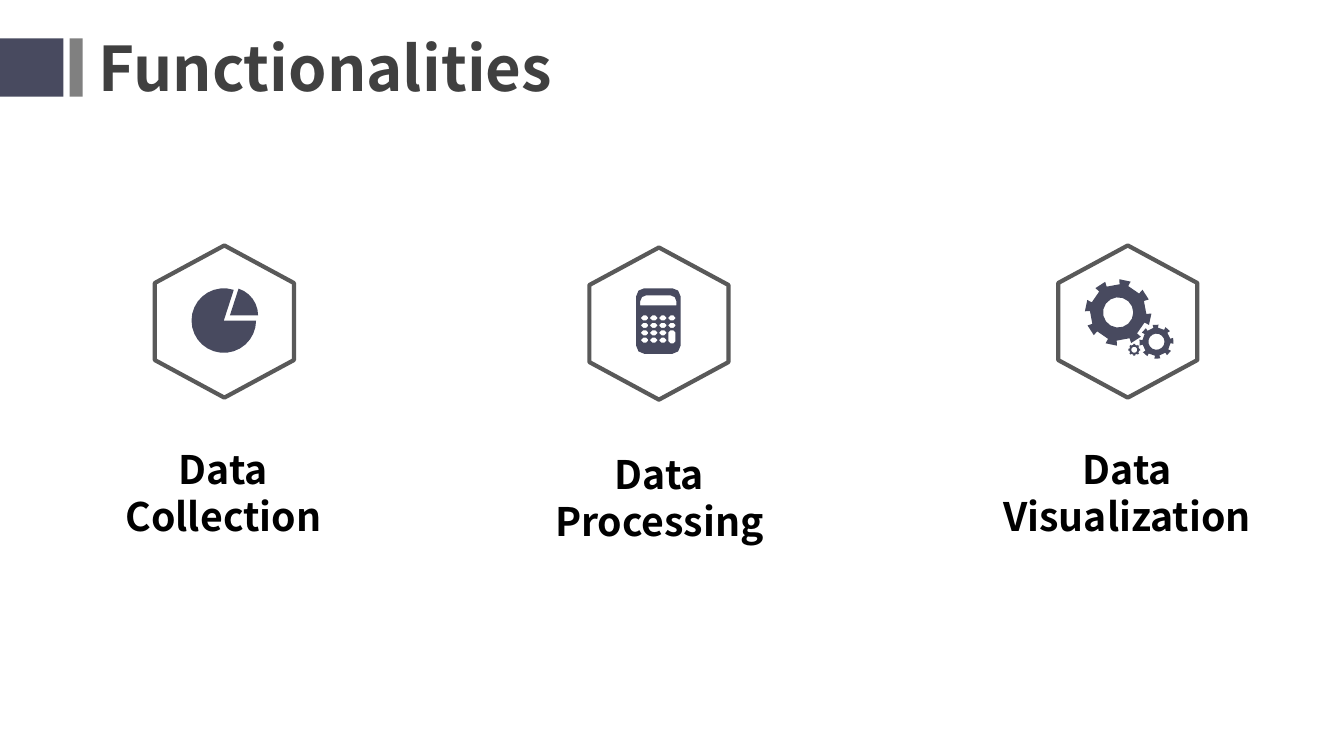
from dataclasses import dataclass
from math import cos, radians, sin
from typing import Callable

from pptx import Presentation
from pptx.dml.color import RGBColor
from pptx.enum.shapes import MSO_SHAPE
from pptx.enum.text import MSO_AUTO_SIZE, PP_ALIGN
from pptx.shapes.shapetree import GroupShapes
from pptx.slide import Slide
from pptx.util import Pt

RECTANGLE, HEXAGON = MSO_SHAPE.RECTANGLE, MSO_SHAPE.HEXAGON
LEFT, CENTER = PP_ALIGN.LEFT, PP_ALIGN.CENTER
GROW = MSO_AUTO_SIZE.SHAPE_TO_FIT_TEXT

EMU_PER_PX = 9144  # 100 px to the inch
SLIDE_WIDTH, SLIDE_HEIGHT = 1333, 750
HEXAGON_WIDTH, HEXAGON_HEIGHT = 151, 138
TEETH = 8

SLATE = RGBColor(0x48, 0x4A, 0x5F)
GRAY = RGBColor(0x80, 0x80, 0x80)
OUTLINE = RGBColor(0x59, 0x59, 0x59)
TITLE_COLOR = RGBColor(0x40, 0x40, 0x40)
BLACK = RGBColor(0, 0, 0)
FONT = "Noto Sans CJK SC"

Contour = list[tuple[float, float]]
Outline = list[Contour]


@dataclass(frozen=True)
class Box:
    left: int
    top: int
    width: int
    height: int


@dataclass(frozen=True)
class Gear:
    x: int
    y: int
    tip: int
    root: int
    hole: int
    turn: int


@dataclass(frozen=True)
class Feature:
    label: str
    label_box: Box
    left: int
    top: int
    icon: Callable[[], list[Outline]]


GEARS = [
    Gear(66, 60, tip=33, root=28, hole=15, turn=12),
    Gear(104, 89, tip=17, root=14, hole=8, turn=-3),
    Gear(82, 97, tip=6, root=5, hole=3, turn=0),
]


def px(value: float) -> int:
    return round(value * EMU_PER_PX)


def arc(x: float, y: float, radius: float, start: int, end: int, step: int) -> Contour:
    """Points of an arc, clockwise, with angles in degrees."""
    return [
        (x + radius * cos(radians(angle)), y + radius * sin(radians(angle)))
        for angle in range(start, end + 1, step)
    ]


def rounded(left: float, top: float, width: float, height: float,
            radius: float, step: int) -> Contour:
    right, bottom = left + width, top + height
    return (
        arc(left + radius, top + radius, radius, 180, 270, step)
        + arc(right - radius, top + radius, radius, 270, 360, step)
        + arc(right - radius, bottom - radius, radius, 0, 90, step)
        + arc(left + radius, bottom - radius, radius, 90, 180, step)
    )


def pie_icon() -> list[Outline]:
    wedge = arc(81, 63, 28, -72, 0, 12) + [(81, 63)]
    rest = arc(75, 68, 32, 0, 288, 12) + [(75, 68)]
    return [[wedge], [rest]]


def calculator_icon() -> list[Outline]:
    body = rounded(53, 34, 44, 65, 8, 45)
    screen = arc(63, 47, 6, 180, 270, 45) + arc(87, 47, 6, 270, 360, 45) + [(93, 51), (57, 51)]
    keys = []
    for column in range(4):
        for row in range(4):
            if (column, row) == (3, 3):
                continue
            height = 13 if (column, row) == (3, 2) else 5
            keys.append(rounded(58 + 9 * column, 61 + 22 / 3 * row, 7, height, 2, 90))
    return [[body, screen, *keys]]


def gear_icon() -> list[Outline]:
    outlines = []
    for gear in GEARS:
        rim = []
        for tooth in range(TEETH):
            middle = gear.turn + tooth * 360 // TEETH
            rim += arc(gear.x, gear.y, gear.tip, middle - 10, middle + 10, 20)
            rim += arc(gear.x, gear.y, gear.root, middle + 9, middle + 36, 27)
        outlines.append([rim, arc(gear.x, gear.y, gear.hole, 0, 336, 24)])
    return outlines


def add_outline(shapes: GroupShapes, outline: Outline, left: int, top: int) -> None:
    """Draw the first contour filled, with the others as its holes."""
    contours = [[(px(left + x), px(top + y)) for x, y in contour] for contour in outline]
    builder = shapes.build_freeform(*contours[0][0])
    builder.add_line_segments(contours[0][1:])
    for hole in contours[1:]:
        builder.move_to(*hole[0])
        builder.add_line_segments(hole[1:])
    shape = builder.convert_to_shape()
    shape.shadow.inherit = False
    shape.fill.solid()
    shape.fill.fore_color.rgb = SLATE
    shape.line.fill.background()


def add_bar(shapes: GroupShapes, box: Box, color: RGBColor) -> None:
    bar = shapes.add_shape(RECTANGLE, px(box.left), px(box.top), px(box.width), px(box.height))
    bar.shadow.inherit = False
    bar.fill.solid()
    bar.fill.fore_color.rgb = color
    bar.line.fill.background()


def add_text(slide: Slide, text: str, box: Box, size: int, color: RGBColor,
             alignment: PP_ALIGN) -> None:
    shape = slide.shapes.add_textbox(px(box.left), px(box.top), px(box.width), px(box.height))
    text_frame = shape.text_frame
    text_frame.word_wrap = True
    text_frame.auto_size = GROW
    text_frame.text = text
    paragraph = text_frame.paragraphs[0]
    paragraph.alignment = alignment
    font = paragraph.runs[0].font
    font.name = FONT
    font.size = Pt(size)
    font.bold = True
    font.color.rgb = color


def add_feature(slide: Slide, feature: Feature) -> None:
    shapes = slide.shapes.add_group_shape().shapes
    hexagon = shapes.add_shape(HEXAGON, px(feature.left), px(feature.top),
                               px(HEXAGON_WIDTH), px(HEXAGON_HEIGHT))
    hexagon.shadow.inherit = False
    hexagon.adjustments[0] = 0.27
    hexagon.rotation = 90
    hexagon.fill.background()
    hexagon.line.color.rgb = OUTLINE
    hexagon.line.width = Pt(3)
    for outline in feature.icon():
        add_outline(shapes, outline, feature.left, feature.top)
    add_text(slide, feature.label, feature.label_box, 28, BLACK, CENTER)


FEATURES = [
    Feature("Data Collection", Box(105, 437, 233, 104), 147, 250, pie_icon),
    Feature("Data Processing", Box(516, 442, 276, 104), 578, 252, calculator_icon),
    Feature("Data Visualization", Box(975, 437, 286, 104), 1043, 250, gear_icon),
]


def main() -> None:
    presentation = Presentation()
    presentation.slide_width = px(SLIDE_WIDTH)
    presentation.slide_height = px(SLIDE_HEIGHT)
    slide = presentation.slides.add_slide(presentation.slide_layouts[6])

    title_bars = slide.shapes.add_group_shape().shapes
    add_bar(title_bars, Box(0, 38, 63, 58), SLATE)
    add_bar(title_bars, Box(69, 38, 13, 58), GRAY)
    add_text(slide, "Functionalities", Box(88, 25, 521, 84), 44, TITLE_COLOR, LEFT)
    for feature in FEATURES:
        add_feature(slide, feature)
    presentation.save("out.pptx")


if __name__ == "__main__":
    main()
